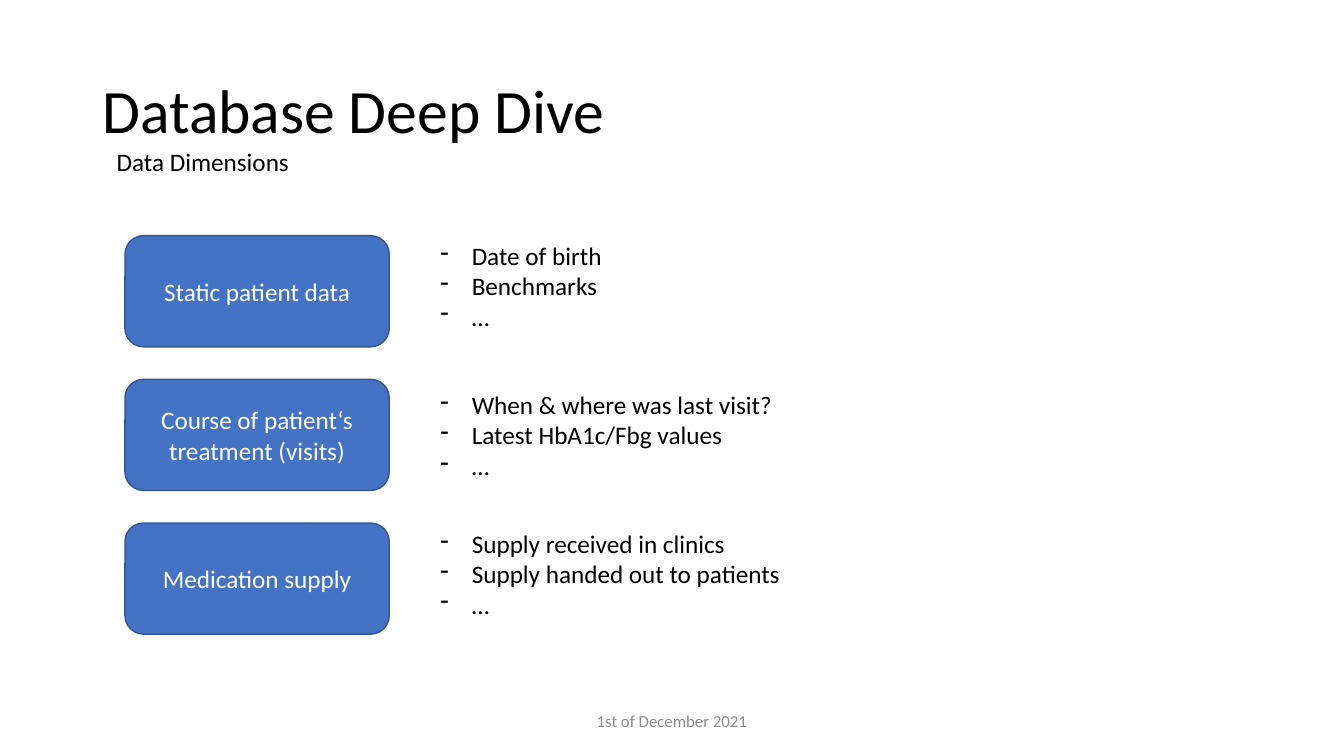
from dataclasses import dataclass

from lxml import etree
from pptx import Presentation
from pptx.dml.color import RGBColor
from pptx.enum.shapes import MSO_SHAPE
from pptx.enum.text import MSO_ANCHOR, PP_ALIGN
from pptx.oxml.ns import qn
from pptx.util import Cm, Pt

ROUND = MSO_SHAPE.ROUNDED_RECTANGLE
MIDDLE, TOP = MSO_ANCHOR.MIDDLE, MSO_ANCHOR.TOP
LEFT, CENTER = PP_ALIGN.LEFT, PP_ALIGN.CENTER


@dataclass(frozen=True)
class Theme:
    font: str = "Calibri"
    black: RGBColor = RGBColor(0x00, 0x00, 0x00)
    white: RGBColor = RGBColor(0xFF, 0xFF, 0xFF)
    gray: RGBColor = RGBColor(0x8C, 0x8C, 0x8C)
    blue: RGBColor = RGBColor(0x44, 0x72, 0xC4)
    edge: RGBColor = RGBColor(0x32, 0x54, 0x91)
    title: int = 44
    body: int = 18
    foot: int = 12


THEME = Theme()

# Each row: label, list top in cm, list items
ROWS = [
    ("Static patient data", 5.92,
     ["Date of birth", "Benchmarks", "…"]),
    ("Course of patient‘s treatment (visits)", 9.68,
     ["When & where was last visit?", "Latest HbA1c/Fbg values", "…"]),
    ("Medication supply", 13.18,
     ["Supply received in clinics", "Supply handed out to patients", "…"]),
]
BOX_TOP, BOX_STEP = 5.94, 3.62


def write(frame, lines, size, color, align=LEFT, anchor=MIDDLE, wrap=True):
    frame.word_wrap = wrap
    frame.vertical_anchor = anchor
    for i, line in enumerate(lines):
        para = frame.add_paragraph() if i else frame.paragraphs[0]
        para.text = line
        para.alignment = align
        para.font.name = THEME.font
        para.font.size = Pt(size)
        para.font.color.rgb = color


def add_text(slide, area, lines, size, color, **style):
    box = slide.shapes.add_textbox(*map(Cm, area))
    write(box.text_frame, lines, size, color, **style)
    return box.text_frame


def add_box(slide, area, label):
    box = slide.shapes.add_shape(ROUND, *map(Cm, area))
    box.shadow.inherit = False
    box.fill.solid()
    box.fill.fore_color.rgb = THEME.blue
    box.line.color.rgb = THEME.edge
    box.line.width = Pt(1)
    write(box.text_frame, [label], THEME.body, THEME.white, align=CENTER)


def add_list(slide, area, items):
    frame = add_text(slide, area, items, THEME.body, THEME.black)
    indent = Cm(0.79)
    for para in frame.paragraphs:
        props = para._p.get_or_add_pPr()
        props.set("marL", str(indent))
        props.set("indent", str(-indent))
        # The bullet must come before the default run properties
        dash = etree.Element(qn("a:buChar"), char="-")
        props.find(qn("a:defRPr")).addprevious(dash)


def main():
    deck = Presentation()
    deck.slide_width, deck.slide_height = Cm(33.87), Cm(19.05)
    slide = deck.slides.add_slide(deck.slide_layouts[6])

    # Headings
    title = add_text(slide, (2.33, 1.01, 29.21, 3.68),
                     ["Database Deep Dive"], THEME.title, THEME.black)
    title.paragraphs[0].line_spacing = 0.9
    add_text(slide, (2.69, 3.56, 4.9, 1.03), ["Data Dimensions"],
             THEME.body, THEME.black, anchor=TOP, wrap=False)

    # Dimensions with their details
    for i, (label, top, items) in enumerate(ROWS):
        add_box(slide, (3.15, BOX_TOP + i * BOX_STEP, 6.66, 2.8), label)
        add_list(slide, (10.85, top, 10.31, 2.56), items)

    # Footer
    add_text(slide, (11.22, 17.66, 11.43, 1.01), ["1st of December 2021"],
             THEME.foot, THEME.gray, align=CENTER)

    deck.save("out.pptx")


main()
